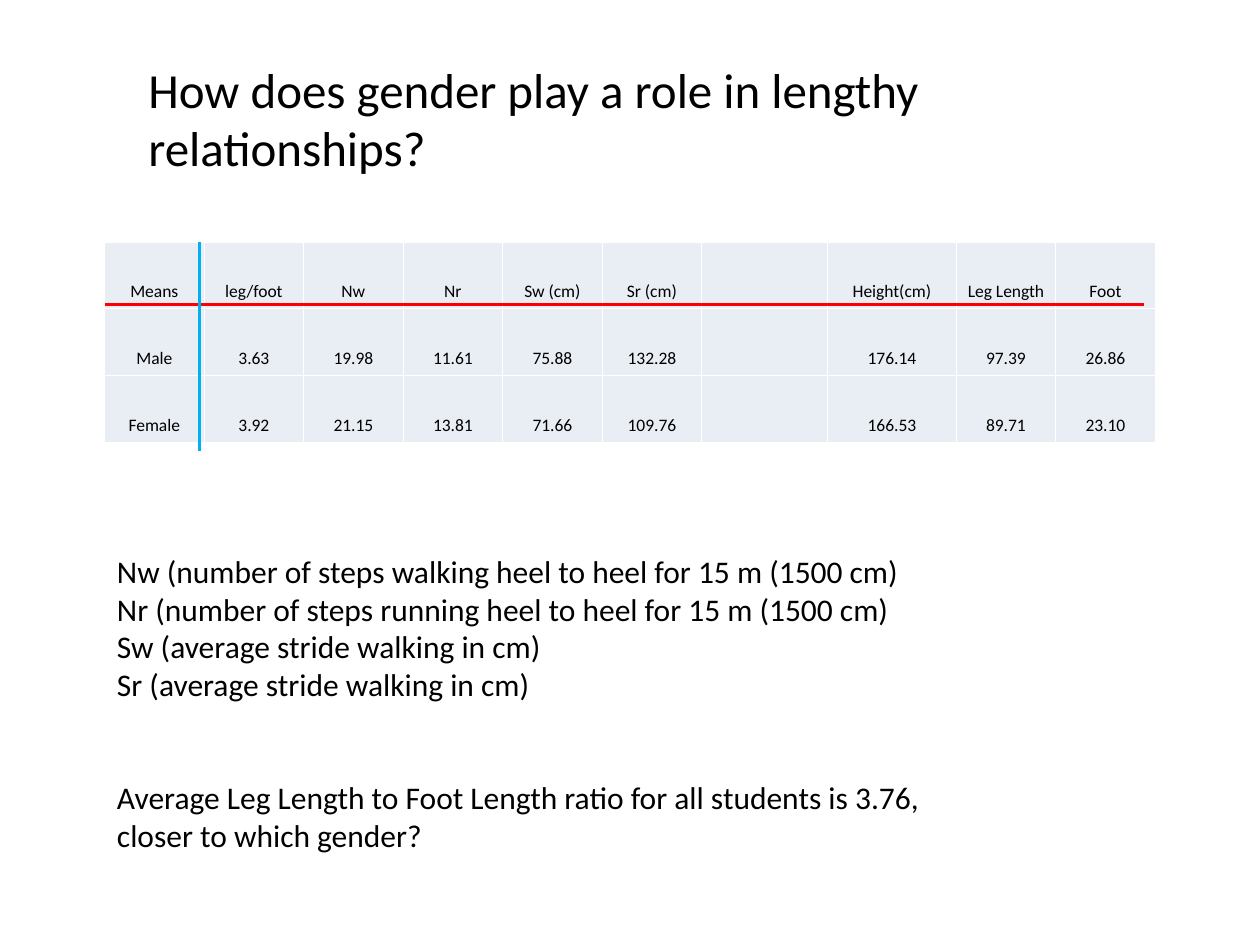
from lxml.etree import SubElement
from pptx import Presentation
from pptx.dml.color import RGBColor
from pptx.enum.shapes import MSO_CONNECTOR
from pptx.enum.text import MSO_ANCHOR, MSO_AUTO_SIZE, PP_ALIGN
from pptx.oxml import parse_xml
from pptx.oxml.ns import nsdecls, qn
from pptx.util import Inches, Pt


def color(value):
    return RGBColor.from_string(value)


def add_text(page, left, top, width, height, lines, size):
    box = page.shapes.add_textbox(Inches(left), Inches(top), Inches(width), Inches(height))
    frame = box.text_frame
    frame.word_wrap = True
    frame.auto_size = MSO_AUTO_SIZE.SHAPE_TO_FIT_TEXT
    frame.text = "\n".join(lines)
    for para in frame.paragraphs:
        for span in para.runs:
            span.font.name = "Calibri"
            span.font.size = Pt(size)
            span.font.color.rgb = color("000000")
    return frame


deck = Presentation()
deck.slide_width = Inches(10)
deck.slide_height = Inches(7.5)
page = deck.slides.add_slide(deck.slide_layouts[6])

rows = [
    ["Means", "leg/foot", "Nw", "Nr", "Sw (cm)", "Sr (cm)", "", "Height(cm)", "Leg Length", "Foot"],
    ["Male", "3.63", "19.98", "11.61", "75.88", "132.28", "", "176.14", "97.39", "26.86"],
    ["Female", "3.92", "21.15", "13.81", "71.66", "109.76", "", "166.53", "89.71", "23.10"],
]
widths = [0.79] * 6 + [1, 1.02] + [0.79] * 2
table = page.shapes.add_table(
    len(rows), len(widths), Inches(0.83), Inches(1.92), Inches(8.33), Inches(1.58)
).table
for column, width in zip(table.columns, widths):
    column.width = Inches(width)
for row, values in zip(table.rows, rows):
    row.height = Inches(0.53)
    for cell, value in zip(row.cells, values):
        cell.text = value
        cell.vertical_anchor = MSO_ANCHOR.BOTTOM
        cell.margin_left = cell.margin_right = Inches(0.01)
        para = cell.text_frame.paragraphs[0]
        para.alignment = PP_ALIGN.CENTER
        para.font.size = Pt(10)
        for span in para.runs:
            span.font.name = "Calibri"
            span.font.size = Pt(10)
            span.font.bold = False
            span.font.color.rgb = color("000000")
        properties = cell._tc.get_or_add_tcPr()
        for side in ("lnL", "lnR", "lnT", "lnB"):
            properties.append(parse_xml(
                f'<a:{side} {nsdecls("a")} w="{Pt(0.45)}"><a:solidFill>'
                f'<a:srgbClr val="FFFFFF"/></a:solidFill></a:{side}>'
            ))
        cell.fill.solid()
        cell.fill.fore_color.rgb = color("E9EDF4")

add_text(page, 1.08, 0.42, 7.83, 1.04,
         ["How does gender play a role in lengthy relationships?"], 28)

rules = [(0.83, 2.42, 9.08, 2.42, "FF0000"), (1.58, 1.92, 1.58, 3.58, "00B0F0")]
for left, top, right, bottom, shade in rules:
    rule = page.shapes.add_connector(
        MSO_CONNECTOR.STRAIGHT, Inches(left), Inches(top), Inches(right), Inches(bottom)
    )
    rule.line.color.rgb = color(shade)
    rule.line.width = Pt(1.75)
    SubElement(rule._element.spPr, qn("a:effectLst"))

notes = add_text(page, 0.83, 4.33, 8.25, 2.5, [
    "Nw (number of steps walking heel to heel for 15 m (1500 cm)",
    "Nr (number of steps running heel to heel for 15 m (1500 cm)",
    "Sw (average stride walking in cm)",
    "Sr (average stride walking in cm)",
    "Average Leg Length to Foot Length ratio for all students is 3.76,",
    "closer to which gender?",
], 18)
notes.paragraphs[4].space_before = Pt(43)

deck.save("out.pptx")
